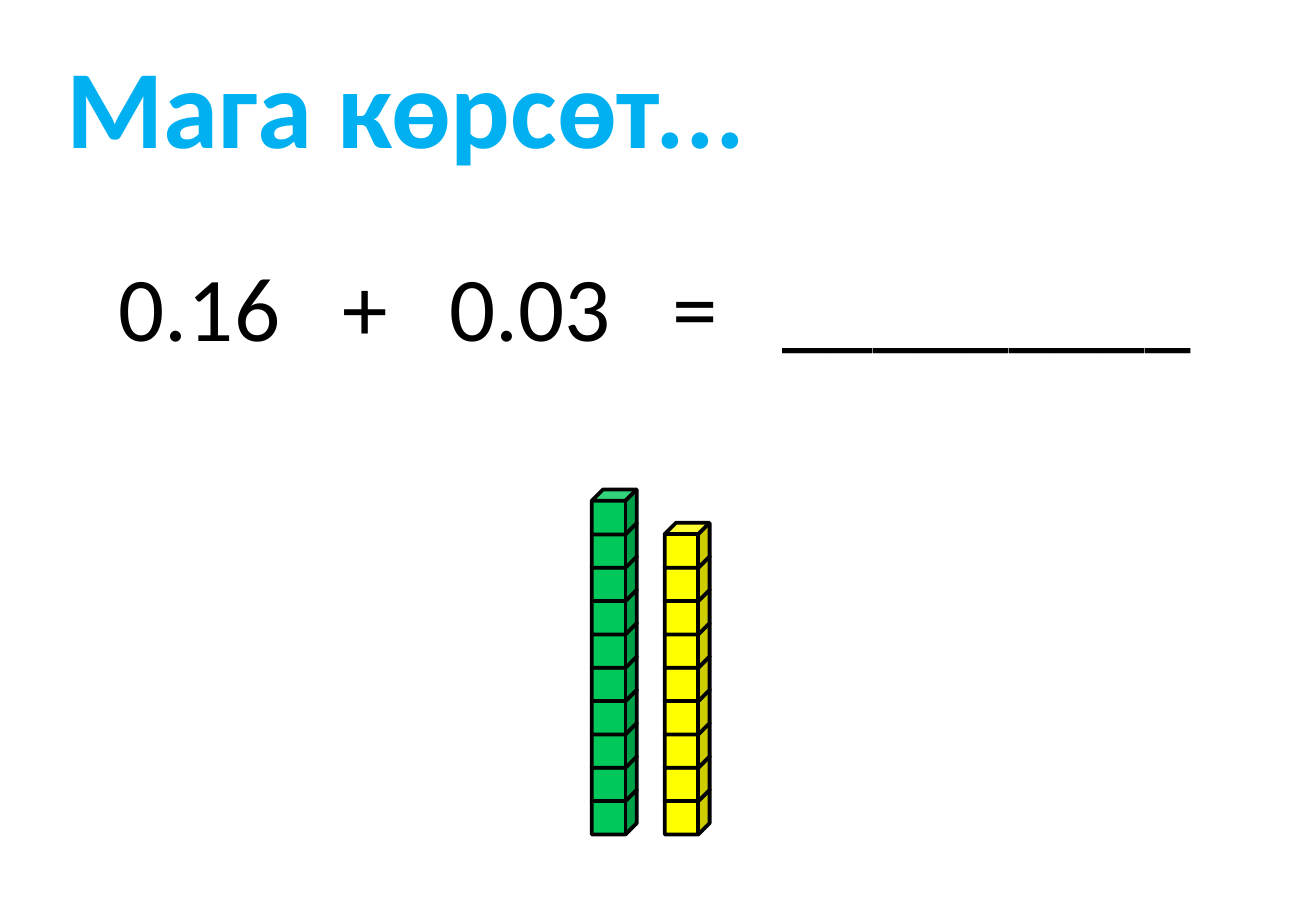
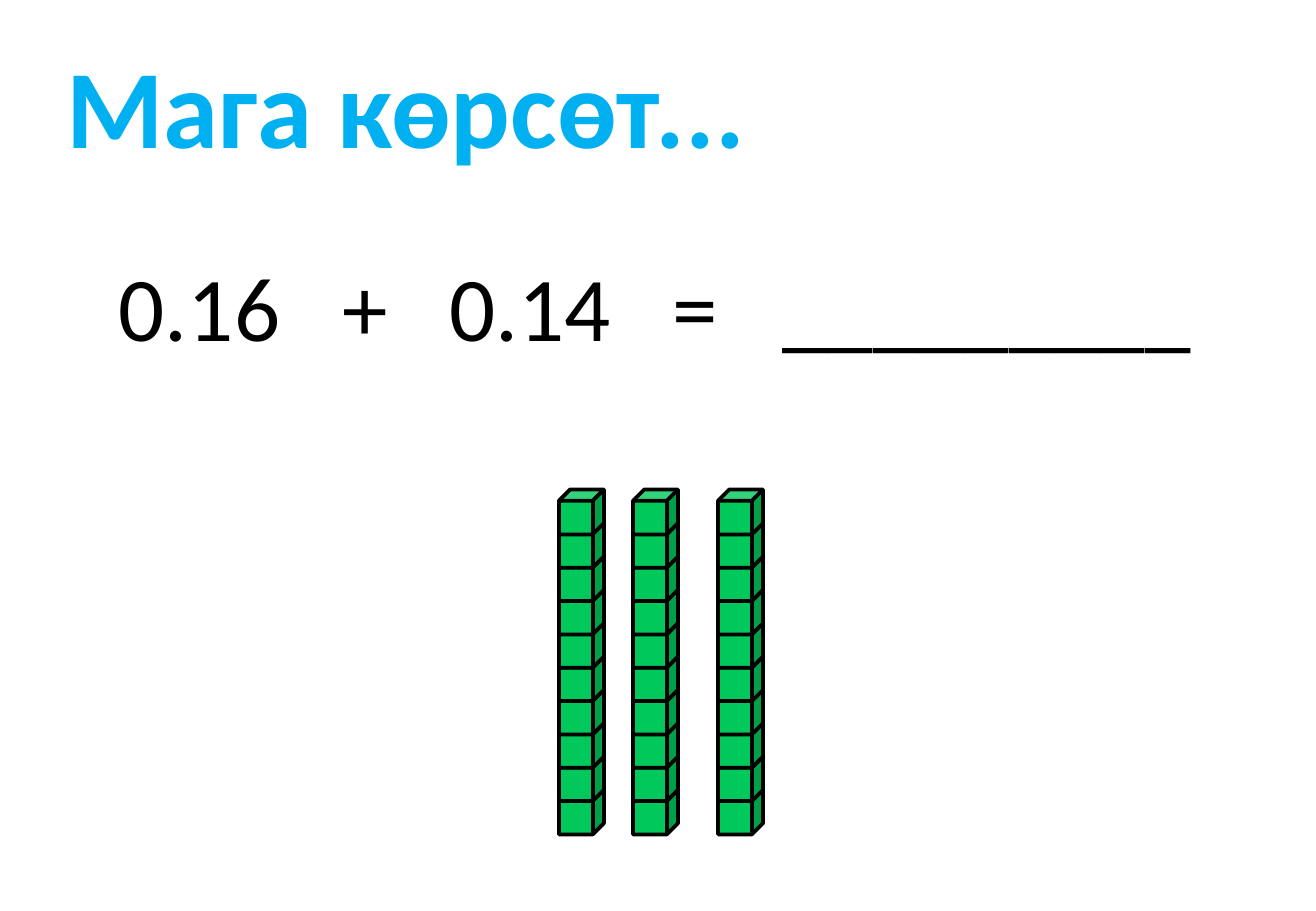
from lxml.etree import SubElement
from pptx import Presentation
from pptx.dml.color import RGBColor
from pptx.enum.shapes import MSO_SHAPE
from pptx.enum.text import MSO_AUTO_SIZE
from pptx.oxml.ns import qn
from pptx.util import Pt

EMU_PER_PX = 9144
COLORS = {
    "background": "FFFFFF",
    "title": "00B0F0",
    "ink": "000000",
    "green": "00C85A",
    "yellow": "FFFF00",
}
TERM_TABS = (184, 272, 456, 546)
CUBE_SIZE = 37
BOTTOM_CUBE_TOP = 650
TEN_CUBE_RISE = 247


def px(length):
    return round(length * EMU_PER_PX)


def color(name):
    return RGBColor.from_string(COLORS[name])


class Deck:
    """Builds addition slides with columns of stacked cubes."""

    font_name = "Calibri"

    def __init__(self):
        self.presentation = Presentation()
        self.presentation.slide_width = px(1083)
        self.presentation.slide_height = px(750)
        self.slide = None

    def add_slide(self):
        self.slide = self.presentation.slides.add_slide(self.presentation.slide_layouts[6])
        fill = self.slide.background.fill
        fill.solid()
        fill.fore_color.rgb = color("background")

    def text(self, text, box, size, color_name, bold=False, tabs=()):
        text_frame = self.slide.shapes.add_textbox(*map(px, box)).text_frame
        text_frame.word_wrap = True
        text_frame.auto_size = MSO_AUTO_SIZE.SHAPE_TO_FIT_TEXT
        text_frame.text = text
        paragraph = text_frame.paragraphs[0]
        if tabs:
            tab_list = SubElement(paragraph._p.get_or_add_pPr(), qn("a:tabLst"))
            for position in tabs:
                SubElement(tab_list, qn("a:tab"), pos=str(px(position)), algn="l")
        for run in paragraph.runs:
            run.font.name = self.font_name
            run.font.size = Pt(size)
            run.font.bold = bold
            run.font.color.rgb = color(color_name)

    def title(self, text):
        self.text(text, (45, 26, 733, 121), 66, "title", bold=True)

    def equation(self, *terms):
        self.text("\t".join(terms), (88, 201, 910, 101), 54, "ink", tabs=TERM_TABS)

    def cube_column(self, left, count, color_name):
        group = self.slide.shapes.add_group_shape()
        for index in range(count):
            top = BOTTOM_CUBE_TOP - index * TEN_CUBE_RISE / 9
            cube = group.shapes.add_shape(
                MSO_SHAPE.CUBE, px(left), px(top), px(CUBE_SIZE), px(CUBE_SIZE)
            )
            cube.shadow.inherit = False
            cube.fill.solid()
            cube.fill.fore_color.rgb = color(color_name)
            cube.line.color.rgb = color("ink")
            cube.line.width = Pt(2.25)


def main():
    exercises = [
        ("0.16", "0.03", [(547, 9, "yellow"), (487, 10, "green")]),
        ("0.16", "0.14", [(left, 10, "green") for left in (460, 521, 591)]),
    ]
    deck = Deck()
    for first, second, columns in exercises:
        deck.add_slide()
        deck.equation(first, "+", second, "=", "_________")
        for column in columns:
            deck.cube_column(*column)
        deck.title("Мага көрсөт...")
    deck.presentation.save("out.pptx")


if __name__ == "__main__":
    main()
